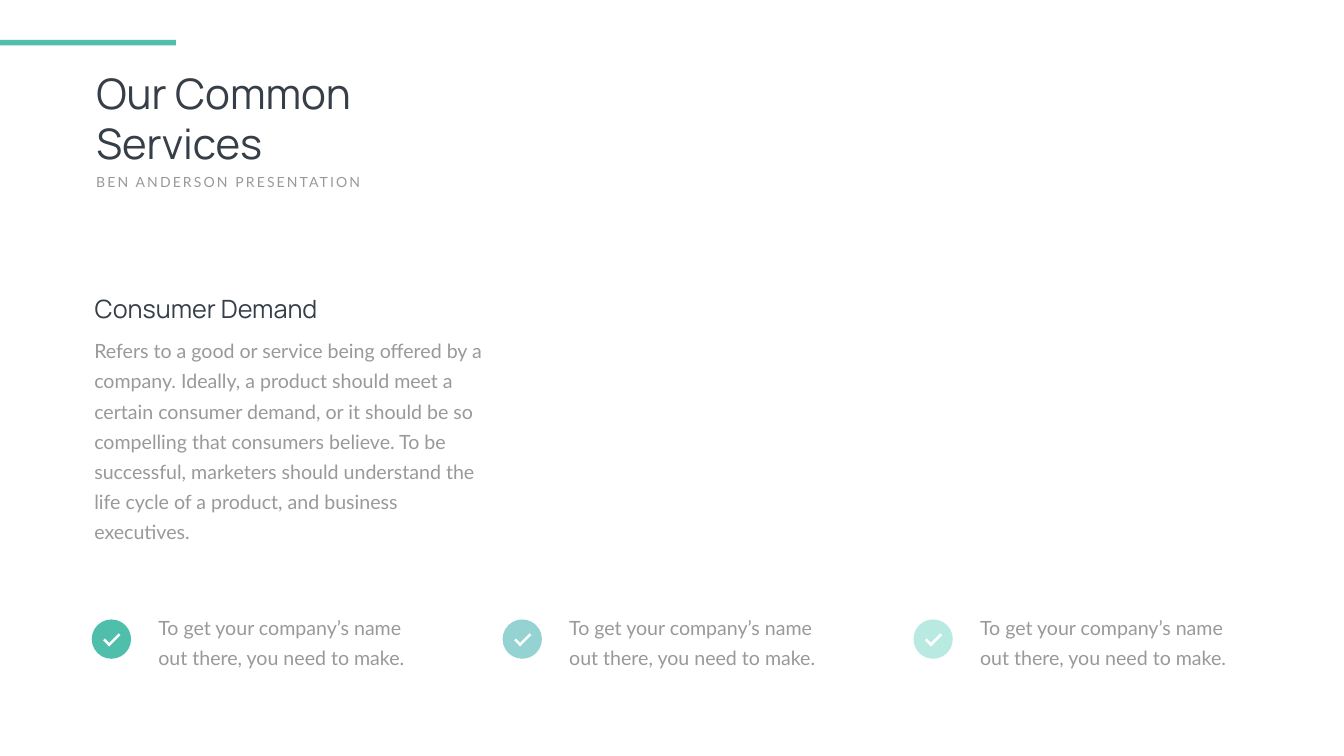
from lxml.etree import SubElement
from pptx import Presentation
from pptx.dml.color import RGBColor
from pptx.enum.shapes import MSO_SHAPE as Shape
from pptx.enum.text import MSO_ANCHOR as Anchor, MSO_AUTO_SIZE as AutoSize, PP_ALIGN as Align
from pptx.oxml.ns import qn
from pptx.util import Pt

COLORS = {"ink": "363E48", "grey": "999999", "white": "FFFFFF",
          "teal": "4FBFAC", "blue": "95D3D3", "mint": "B9EAE1"}
HEADING = {"name": "Manrope", "size": Pt(60), "color": "ink"}
SUBHEADING = {"name": "Manrope", "size": Pt(36), "color": "ink"}
TAGLINE = {"name": "Lato", "size": Pt(20), "color": "grey"}
BODY = {"name": "Lato", "size": Pt(28), "color": "grey"}
PADDED = (17.3, 8.6)
BODY_LINE = Pt(43)
CHECK_TEXT = "To get your company’s name out there, you need to make."
CHECK_LEFT, CHECK_TOP, CHECK_STEP = 131, 884.9, 586.8


def place(sp, box):
    """Move and size a shape from a box in points."""
    for name, value in zip(("left", "top", "width", "height"), box):
        setattr(sp, name, Pt(value))


def write(sp, text, style, insets=(7.2, 3.6), line=1.0):
    """Fill a text shape with one formatted paragraph and return its run."""
    tf = sp.text_frame
    x, y = (Pt(v) for v in insets)
    frame = {"word_wrap": True, "auto_size": AutoSize.SHAPE_TO_FIT_TEXT,
             "vertical_anchor": Anchor.TOP, "margin_left": x,
             "margin_right": x, "margin_top": y, "margin_bottom": y}
    for name, value in frame.items():
        setattr(tf, name, value)
    p = tf.paragraphs[0]
    pPr = p._p.get_or_add_pPr()
    pPr.set("marL", "0")
    pPr.set("indent", "0")
    SubElement(pPr, qn("a:buNone"))
    layout = {"alignment": Align.LEFT, "line_spacing": line, "space_before": Pt(0)}
    for name, value in layout.items():
        setattr(p, name, value)
    r = p.add_run()
    r.text = text
    for name, value in style.items():
        if name == "color":
            r.font.color.rgb = RGBColor.from_string(COLORS[value])
        else:
            setattr(r.font, name, value)
    return r


def add_text(shapes, box, text, style, **options):
    """Add a text box and return its run."""
    sp = shapes.add_textbox(*(Pt(v) for v in box))
    return write(sp, text, style, **options)


def add_solid(shapes, kind, box, color, rotation=0):
    """Add a plain filled shape without outline or shadow."""
    sp = shapes.add_shape(kind, *(Pt(v) for v in box))
    sp.fill.solid()
    sp.fill.fore_color.rgb = RGBColor.from_string(COLORS[color])
    sp.line.fill.background()
    sp.shadow.inherit = False
    sp.rotation = rotation


def add_check_item(s, x, y, color):
    """Add a grouped check badge with its text."""
    shapes = s.shapes.add_group_shape().shapes
    add_text(shapes, (x + 77.8, y - 23, 390.2, 100), CHECK_TEXT, BODY,
             insets=PADDED, line=BODY_LINE)
    add_solid(shapes, Shape.OVAL, (x, y, 56.2, 56.2), color)
    add_solid(shapes, Shape.RECTANGLE, (x + 15.8, y + 31, 12.2, 3.6), "white", 45)
    add_solid(shapes, Shape.RECTANGLE, (x + 20.2, y + 27.4, 23, 3.6), "white", 315)


def main():
    """Build and save the services slide."""
    prs = Presentation()
    prs.slide_width, prs.slide_height = Pt(1919.52), Pt(1080)
    s = prs.slides.add_slide(prs.slide_layouts[1])
    title, body = s.placeholders
    place(title, (130.3, 92.2, 440.6, 152.6))
    write(title, "Our Common Services", HEADING)
    add_solid(s.shapes, Shape.RECTANGLE, (0, 56.9, 251.3, 7.9), "teal")
    tagline = add_text(s.shapes, (130.3, 244.8, 421.2, 31.7),
                       "BEN ANDERSON PRESENTATION", TAGLINE)
    tagline._r.get_or_add_rPr().set("spc", "300")
    for i, color in enumerate(("teal", "blue", "mint")):
        add_check_item(s, CHECK_LEFT + i * CHECK_STEP, CHECK_TOP, color)
    add_text(s.shapes, (128.2, 415.4, 438.5, 51.1), "Consumer Demand", SUBHEADING)
    place(body, (117.4, 466.6, 608.4, 272.9))
    write(body, "Refers to a good or service being offered by a company. "
          "Ideally, a product should meet a certain consumer demand, or it "
          "should be so compelling that consumers believe. To be successful, "
          "marketers should understand the life cycle of a product, and "
          "business executives.", BODY, insets=PADDED, line=BODY_LINE)
    prs.save("out.pptx")


if __name__ == "__main__":
    main()
